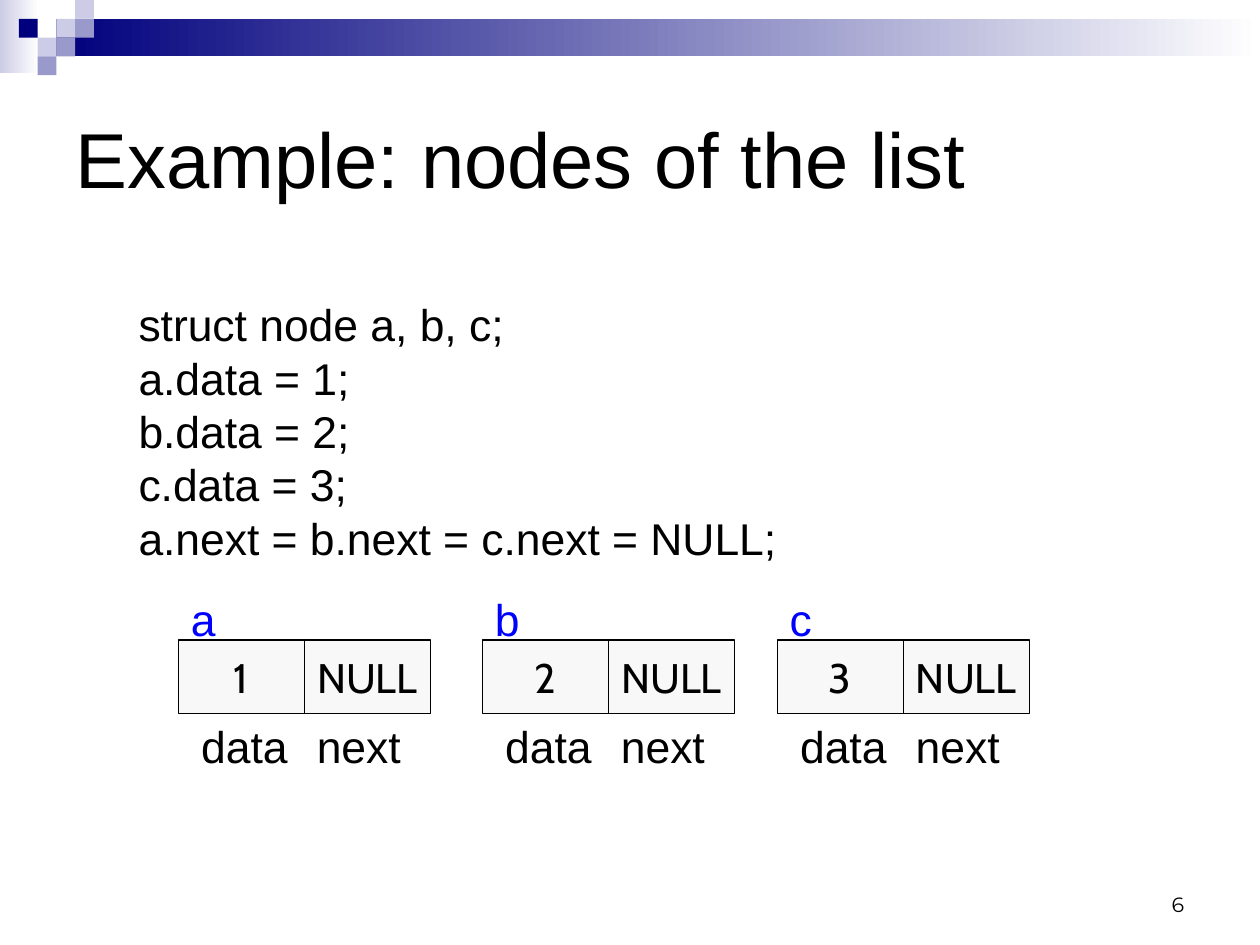
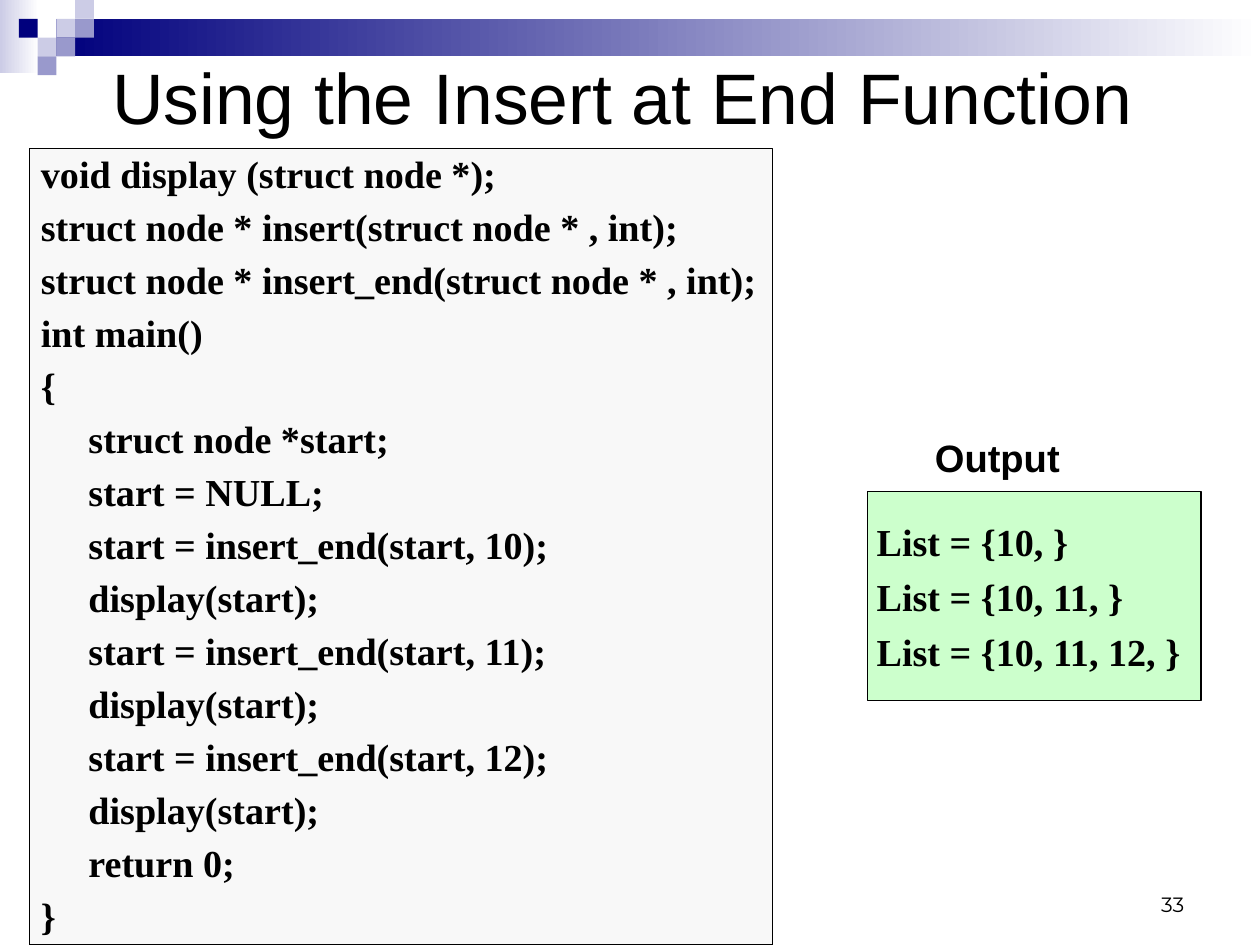
"""Build two linked-list lecture slides with a shared band, title style and page number."""
from pptx import Presentation
from pptx.dml.color import RGBColor
from pptx.enum.shapes import MSO_SHAPE
from pptx.enum.text import MSO_ANCHOR, MSO_AUTO_SIZE, PP_ALIGN
from pptx.util import Cm, Inches, Pt

RECTANGLE = MSO_SHAPE.RECTANGLE
TOP, MIDDLE, BOTTOM = MSO_ANCHOR.TOP, MSO_ANCHOR.MIDDLE, MSO_ANCHOR.BOTTOM
LEFT, CENTER, RIGHT = PP_ALIGN.LEFT, PP_ALIGN.CENTER, PP_ALIGN.RIGHT
FIXED = MSO_AUTO_SIZE.NONE

deck = Presentation()
deck.slide_width, deck.slide_height = Cm(28), Cm(21)
WIDTH, HEIGHT = deck.slide_width.inches, deck.slide_height.inches
COLUMN, ROW = WIDTH / 10, HEIGHT / 15
CELL = WIDTH / 67
NAVY, VIOLET, LILAC, WHITE = "00007D", "9999CC", "CCCCE6", "FFFFFF"
BLACK, BLUE, PALE, GREEN = "000000", "0000FF", "F8F8F8", "CCFFCC"


def write(shape, text, size, font="Arial", color=BLACK, bold=False, align=LEFT,
          anchor=TOP, wrap=True, left=0.11, right=0.11, edge=0.06, before=0, spacing=None):
    """Fill a shape with one paragraph per line of text."""
    frame = shape.text_frame
    frame.auto_size = FIXED
    frame.word_wrap = wrap
    frame.vertical_anchor = anchor
    frame.margin_left, frame.margin_right = Inches(left), Inches(right)
    frame.margin_top = frame.margin_bottom = Inches(edge)
    for index, line in enumerate(text.split("\n")):
        para = frame.add_paragraph() if index else frame.paragraphs[0]
        para.alignment = align
        para.space_before = Pt(before if index else 0)
        if spacing:
            para.line_spacing = spacing
        span = para.add_run()
        span.text = line
        span.font.size = Pt(size)
        span.font.name = font
        span.font.bold = bold
        span.font.color.rgb = RGBColor.from_string(color)


def add_block(page, place, fill, fade=None, line=None):
    """Add a rectangle with a plain or fading fill and an optional outline."""
    block = page.shapes.add_shape(RECTANGLE, *map(Inches, place))
    block.shadow.inherit = False
    if fade:
        block.fill.gradient()
        block.fill.gradient_angle = 0
        for position, color in enumerate((fill, fade)):
            stop = block.fill.gradient_stops[position]
            stop.color.rgb = RGBColor.from_string(color)
            stop.position = position
    else:
        block.fill.solid()
        block.fill.fore_color.rgb = RGBColor.from_string(fill)
    if line:
        block.line.color.rgb = RGBColor.from_string(BLACK)
        block.line.width = Pt(line)
    else:
        block.line.fill.background()
    return block


pages = []
for title, place, size, inset, number in (
    ("Example: nodes of the list", (COLUMN / 2, ROW, 9 * COLUMN, 3 * ROW), 49, 0.11, "6"),
    ("Using the Insert at End Function", (0, 0.37, 10.41, 0.93), 45, 0.98, "33"),
):
    page = deck.slides.add_slide(deck.slide_layouts[5])
    heading = page.shapes.title
    heading.left, heading.top, heading.width, heading.height = map(Inches, place)
    write(heading, title, size, anchor=MIDDLE, left=inset)
    box = page.shapes.add_textbox(*map(Inches, (7.9, 7.53, 2.57, ROW)))
    write(box, number, 13, font="Montserrat", align=RIGHT, anchor=BOTTOM)
    pages.append(page)
nodes_page, insert_page = pages

band = [
    add_block(nodes_page, (0, 0, 0.34, 0.64), LILAC, fade=WHITE),
    add_block(nodes_page, (3 * CELL, CELL, WIDTH - 3 * CELL, 2 * CELL), NAVY, fade=WHITE),
]
for column, row, color in (
    (3, 1, LILAC), (4, 0, LILAC), (4, 1, VIOLET), (2, 2, LILAC),
    (1, 1, NAVY), (3, 2, VIOLET), (2, 3, VIOLET),
):
    band.append(add_block(nodes_page, (column * CELL, row * CELL, CELL, CELL), color))
master_tree = deck.slide_master.element.cSld.spTree
for index, block in enumerate(band):
    block.element.nvSpPr.cNvPr.set("id", str(100 + index))
    master_tree.insert(2 + index, block.element)

box = nodes_page.shapes.add_textbox(*map(Inches, (COLUMN, 2.54, 5.8, 2.45)))
write(box, """struct node a, b, c;
a.data = 1;
b.data = 2;
c.data = 3;
a.next = b.next = c.next = NULL;""", 28, wrap=False)

NODE_TOP, NODE_HEIGHT = 5.6, 0.64
for name, value, left in (("a", "1", 1.56), ("b", "2", 4.22), ("c", "3", 6.8)):
    for index, content in enumerate((value, "NULL")):
        place = (left + index * COLUMN, NODE_TOP, COLUMN, NODE_HEIGHT)
        block = add_block(nodes_page, place, PALE, line=0.75)
        write(block, content, 26, font="Cabin", align=CENTER, anchor=MIDDLE, wrap=False)
    for label, x, y, width, color in (
        ("data", left + 0.09, 6.23, 0.98, BLACK),
        ("next", left + COLUMN, 6.23, 0.96, BLACK),
        (name, left, 5.12, 0.44, BLUE),
    ):
        box = nodes_page.shapes.add_textbox(*map(Inches, (x, y, width, 0.58)))
        write(box, label, 28, color=color, wrap=False)

code = add_block(insert_page, (0.26, 1.3, 6.5, HEIGHT - 1.3), PALE, line=1)
write(code, """void display (struct node *);
struct node * insert(struct node * , int);
struct node * insert_end(struct node * , int);
int main()
{
     struct node *start;
     start = NULL;
     start = insert_end(start, 10);
     display(start);
     start = insert_end(start, 11);
     display(start);
     start = insert_end(start, 12);
     display(start);
     return 0;
}""", 24, font="Times New Roman", bold=True, left=0.1, right=0.1, edge=0.05,
      before=6, spacing=0.95)

output = add_block(insert_page, (7.59, 4.3, 2.92, 1.83), GREEN, line=1)
write(output, "List = {10, }\nList = {10, 11, }\nList = {10, 11, 12, }", 24,
      font="Times New Roman", bold=True, anchor=MIDDLE, left=0.08, right=0, edge=0, before=6)
box = insert_page.shapes.add_textbox(*map(Inches, (8.18, 3.8, 1.5, 0.4)))
write(box, "Output", 24, bold=True, left=0, right=0, edge=0)

deck.save("out.pptx")
